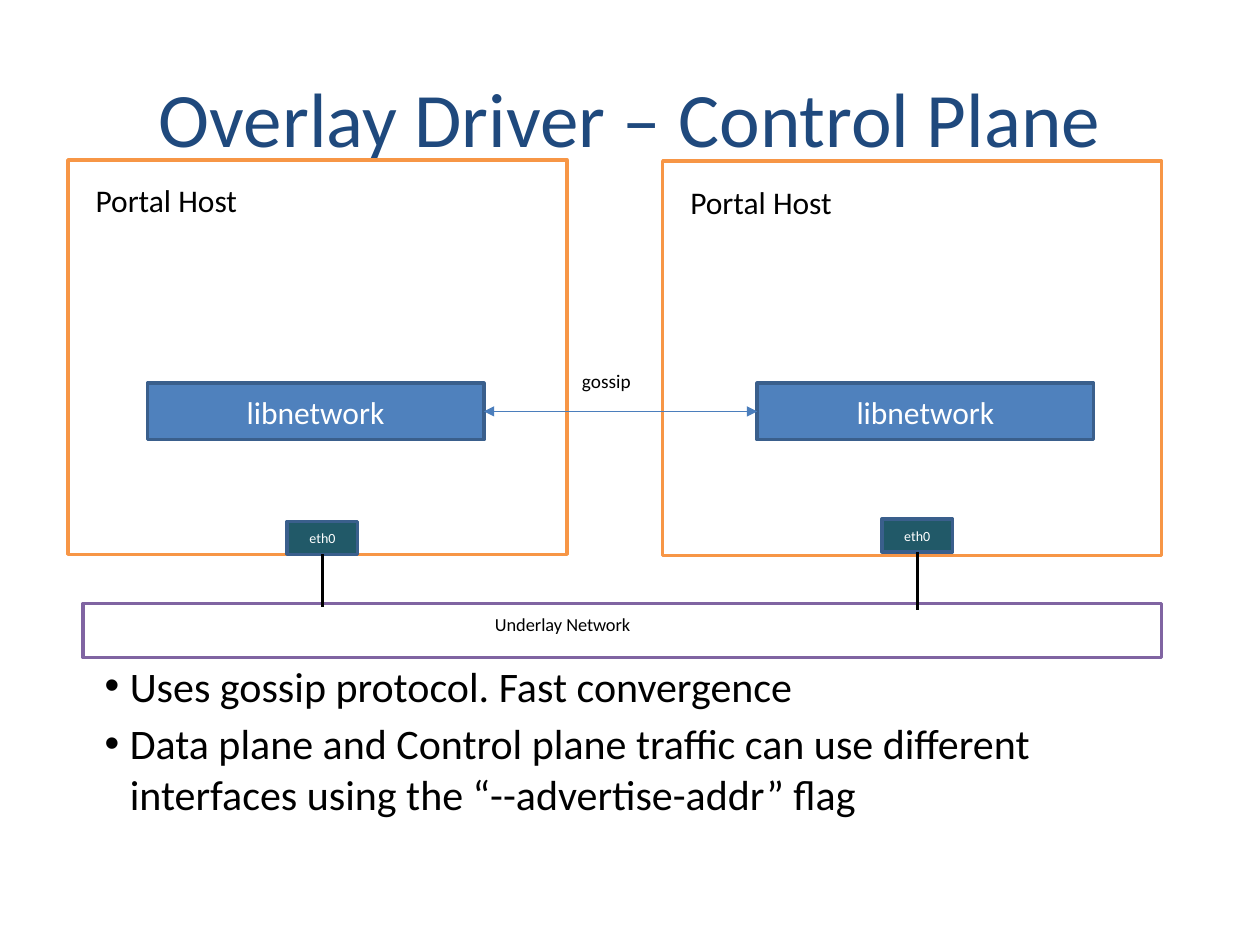
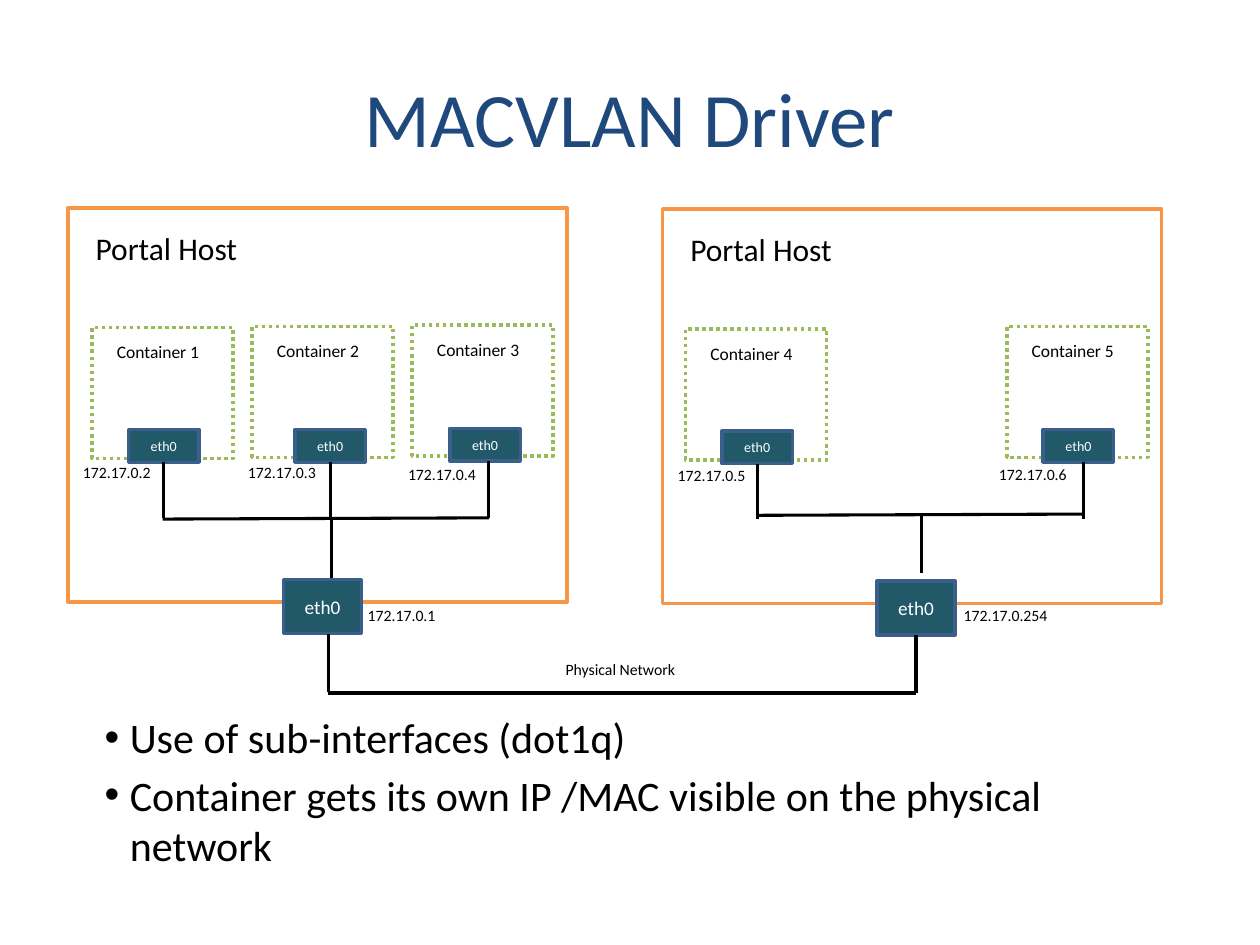
from dataclasses import dataclass

from lxml import etree
from pptx import Presentation
from pptx.dml.color import RGBColor
from pptx.enum.dml import MSO_LINE
from pptx.enum.shapes import MSO_CONNECTOR, MSO_SHAPE
from pptx.enum.text import MSO_ANCHOR, MSO_AUTO_SIZE, PP_ALIGN
from pptx.oxml.ns import qn
from pptx.util import Inches, Pt

RECTANGLE = MSO_SHAPE.RECTANGLE
STRAIGHT = MSO_CONNECTOR.STRAIGHT
DOTTED = MSO_LINE.ROUND_DOT
MIDDLE, TOP = MSO_ANCHOR.MIDDLE, MSO_ANCHOR.TOP
LEFT, CENTER = PP_ALIGN.LEFT, PP_ALIGN.CENTER
FIXED, GROW = MSO_AUTO_SIZE.NONE, MSO_AUTO_SIZE.SHAPE_TO_FIT_TEXT
BOTTOM_SIDE, LEFT_SIDE, RIGHT_SIDE = 2, 1, 3


@dataclass(frozen=True)
class Theme:
    font: str = "Calibri"
    # Colours
    title: str = "1F497D"
    ink: str = "000000"
    white: str = "FFFFFF"
    host: str = "F79646"
    container: str = "9BBB59"
    underlay: str = "8064A2"
    library: str = "4F81BD"
    interface: str = "215968"
    edge: str = "3A5F8C"
    gossip: str = "4B7EBC"
    # Type sizes
    title_size: float = 44
    body_size: float = 24
    label_size: float = 18
    uplink_size: float = 11
    underlay_size: float = 10.5
    container_size: float = 10
    address_size: float = 9
    interface_size: float = 8
    # Line widths
    outline: float = 2
    wire: float = 1.75
    arrow: float = 0.75


THEME = Theme()
HOST_LEFTS = (0.54, 5.26)
HOST_NAME = "Portal Host"


def write(para, text, *, size, color=THEME.ink, align=LEFT):
    """Add one formatted run to a paragraph."""
    para.alignment = align
    span = para.add_run()
    span.text = text
    span.font.name = THEME.font
    span.font.size = Pt(size)
    span.font.color.rgb = RGBColor.from_string(color)


# Placeholders
def place(holder, left, top, width, height, anchor):
    holder.left, holder.top = Inches(left), Inches(top)
    holder.width, holder.height = Inches(width), Inches(height)
    frame = holder.text_frame
    frame.word_wrap = True
    frame.auto_size = FIXED
    frame.vertical_anchor = anchor
    frame.margin_left = frame.margin_right = Inches(0.13)
    frame.margin_top = frame.margin_bottom = Inches(0.07)
    return frame


def add_bullet(para):
    properties = para._p.get_or_add_pPr()
    properties.set("marL", str(Inches(0.4)))
    properties.set("indent", str(Inches(-0.2)))
    etree.SubElement(properties, qn("a:buFont"), typeface="Arial")
    etree.SubElement(properties, qn("a:buChar"), char="•")


def add_page(deck, title, points, body_top):
    page = deck.slides.add_slide(deck.slide_layouts[1])
    frame = place(page.shapes.title, 0.5, 0.3, 9, 1.25, MIDDLE)
    write(frame.paragraphs[0], title, size=THEME.title_size,
          color=THEME.title, align=CENTER)
    frame = place(page.placeholders[1], 0.5, body_top, 9, 6.7 - body_top, TOP)
    for index, point in enumerate(points):
        para = frame.add_paragraph() if index else frame.paragraphs[0]
        para.space_before = Pt(4)
        write(para, point, size=THEME.body_size)
        add_bullet(para)
    return page


# Basic elements
def add_label(page, text, left, top, width, height, *, size, wrap=False):
    box = page.shapes.add_textbox(Inches(left), Inches(top),
                                  Inches(width), Inches(height))
    box.text_frame.word_wrap = wrap
    box.text_frame.auto_size = GROW
    write(box.text_frame.paragraphs[0], text, size=size)


def add_box(page, left, top, width, height, *, line=THEME.edge, fill=None,
            dash=None, text=None, size=THEME.label_size):
    box = page.shapes.add_shape(RECTANGLE, Inches(left), Inches(top),
                                Inches(width), Inches(height))
    box.shadow.inherit = False
    box.line.color.rgb = RGBColor.from_string(line)
    box.line.width = Pt(THEME.outline)
    if dash:
        box.line.dash_style = dash
    if fill:
        box.fill.solid()
        box.fill.fore_color.rgb = RGBColor.from_string(fill)
    else:
        box.fill.background()
    if text:
        box.text_frame.vertical_anchor = MIDDLE
        write(box.text_frame.paragraphs[0], text, size=size,
              color=THEME.white, align=CENTER)
    return box


def add_wire(page, start, end, *, color=THEME.ink, width=THEME.wire,
             arrows=False):
    wire = page.shapes.add_connector(
        STRAIGHT, *(Inches(value) for value in (*start, *end)))
    wire.line.color.rgb = RGBColor.from_string(color)
    wire.line.width = Pt(width)
    properties = wire.element.spPr
    if arrows:
        outline = properties.find(qn("a:ln"))
        for tip in ("a:headEnd", "a:tailEnd"):
            etree.SubElement(outline, qn(tip), type="triangle")
    etree.SubElement(properties, qn("a:effectLst"))
    return wire


# Network elements
def add_host(page, left, top):
    add_box(page, left, top, 3.96, 3.13, line=THEME.host)
    add_label(page, HOST_NAME, left + 0.12, top + 0.12, 1.45, 0.4,
              size=THEME.label_size)


def add_library(page, left):
    return add_box(page, left, 3.04, 2.67, 0.45, fill=THEME.library,
                   text="libnetwork")


def add_interface(page, left, top):
    return add_box(page, left, top, 0.56, 0.26, fill=THEME.interface,
                   text="eth0", size=THEME.interface_size)


def add_uplink(page, left, top):
    return add_box(page, left, top, 0.62, 0.43, fill=THEME.interface,
                   text="eth0", size=THEME.uplink_size)


def add_address(page, text, left, top, width=0.76):
    add_label(page, text, left, top, width, 0.25, size=THEME.address_size)


def add_drop(page, box, x, end):
    """Run a wire down from a box, joined when it leaves the middle."""
    start = (box.top + box.height) / Inches(1)
    wire = add_wire(page, (x, start), (x, end))
    middle = (box.left + box.width / 2) / Inches(1)
    if abs(middle - x) < 0.01:
        wire.begin_connect(box, BOTTOM_SIDE)


def add_container(page, number, left, top, interface_at, drop, address_at):
    """Draw a container with its interface, address and wire to the bus."""
    add_box(page, left, top, 1.12, 1.04, line=THEME.container, dash=DOTTED)
    add_label(page, f"Container {number}", left + 0.1, top + 0.06, 0.87, 0.27,
              size=THEME.container_size)
    interface = add_interface(page, *interface_at)
    add_drop(page, interface, *drop)
    add_address(page, f"172.17.0.{number + 1}", *address_at)


# Pages
def build_control_plane(deck):
    page = add_page(deck, "Overlay Driver – Control Plane", (
        "Uses gossip protocol. Fast convergence",
        "Data plane and Control plane traffic can use different interfaces "
        "using the “--advertise-addr” flag",
    ), 5.17)
    for left, top in zip(HOST_LEFTS, (1.27, 1.28)):
        add_host(page, left, top)

    # Underlay
    add_box(page, 0.66, 4.79, 8.56, 0.43, line=THEME.underlay)
    add_label(page, "Underlay Network", 3.83, 4.82, 1.81, 0.28,
              size=THEME.underlay_size, wrap=True)
    for left, top, end in ((2.28, 4.14, 4.82), (7, 4.12, 4.84)):
        interface = add_interface(page, left, top)
        add_drop(page, interface, left + 0.28, end)

    # Gossip between the libraries
    first, second = (add_library(page, left) for left in (1.17, 6.01))
    arrow = add_wire(page, (3.84, 3.26), (6.01, 3.26), color=THEME.gossip,
                     width=THEME.arrow, arrows=True)
    arrow.begin_connect(first, RIGHT_SIDE)
    arrow.end_connect(second, LEFT_SIDE)
    add_label(page, "gossip", 4.52, 2.88, 0.59, 0.29, size=THEME.uplink_size)


def build_macvlan(deck):
    page = add_page(deck, "MACVLAN Driver", (
        "Use of sub-interfaces (dot1q)",
        "Container gets its own IP /MAC visible on the physical network",
    ), 5.58)
    for left, top in zip(HOST_LEFTS, (1.65, 1.66)):
        add_host(page, left, top)

    # Containers: left, top, interface, wire x and end, address
    containers = (
        (0.73, 2.6, (1.02, 3.41), (1.3, 4.11), (0.56, 3.62)),
        (2, 2.59, (2.34, 3.41), (2.62, 4.11), (1.87, 3.62)),
        (3.27, 2.58, (3.57, 3.4), (3.88, 4.11), (3.14, 3.64)),
        (5.44, 2.61, (5.73, 3.42), (6.01, 4.12), (5.28, 3.65)),
        (7.99, 2.59, (8.28, 3.41), (8.6, 4.12), (7.83, 3.64)),
    )
    for number, layout in enumerate(containers, start=1):
        add_container(page, number, *layout)

    # Bus inside each host and its feed to the uplink
    for start, end in (
        ((1.29, 4.12), (3.88, 4.11)), ((2.63, 4.12), (2.63, 4.59)),
        ((6.01, 4.09), (8.61, 4.08)), ((7.31, 4.08), (7.31, 4.55)),
    ):
        add_wire(page, start, end)

    # Uplinks and the physical network
    add_drop(page, add_uplink(page, 2.25, 4.6), 2.61, 5.49)
    add_drop(page, add_uplink(page, 6.96, 4.61), 7.27, 5.5)
    add_wire(page, (7.27, 5.5), (2.6, 5.5))
    add_address(page, "172.17.0.1", 2.82, 4.76)
    add_address(page, "172.17.0.254", 7.55, 4.76, 0.92)
    add_label(page, "Physical Network", 4.39, 5.19, 1.1, 0.25,
              size=THEME.address_size)


def main():
    deck = Presentation()
    deck.slide_width, deck.slide_height = Inches(10), Inches(7.5)
    build_control_plane(deck)
    build_macvlan(deck)
    deck.save("out.pptx")


if __name__ == "__main__":
    main()
